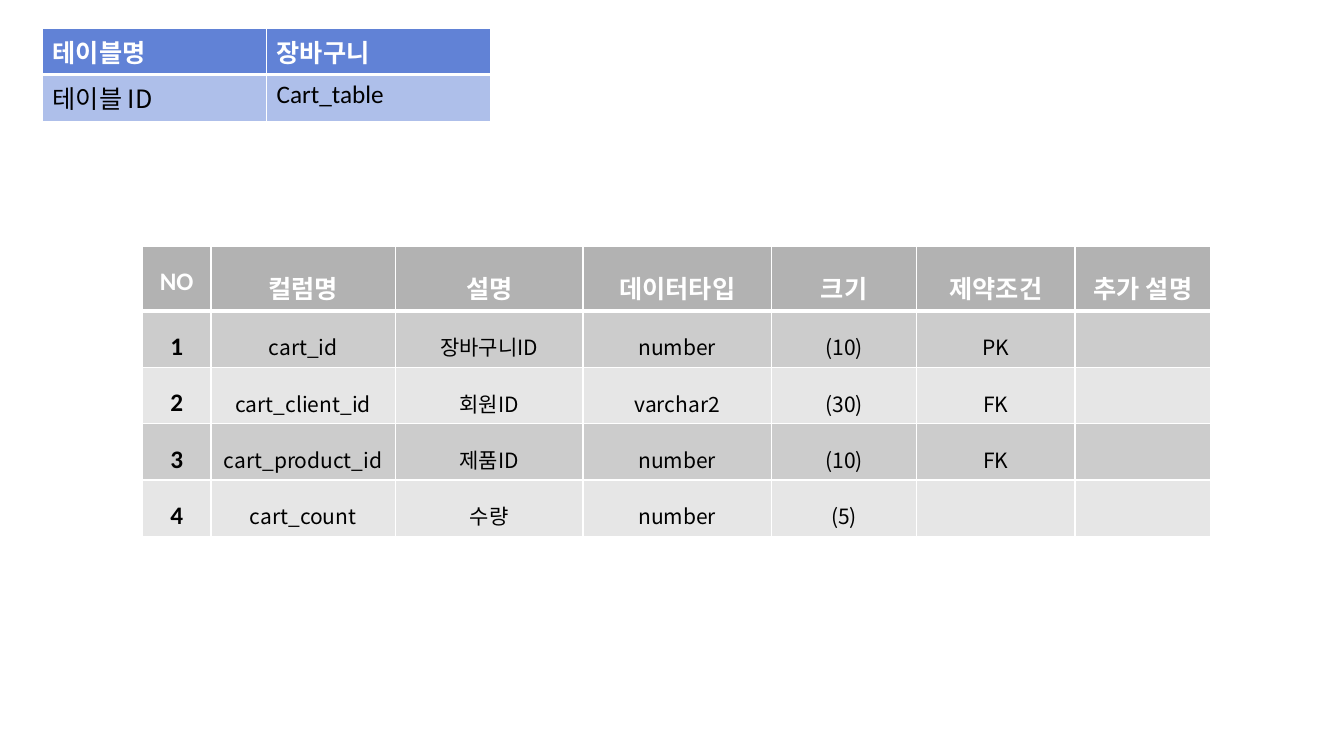
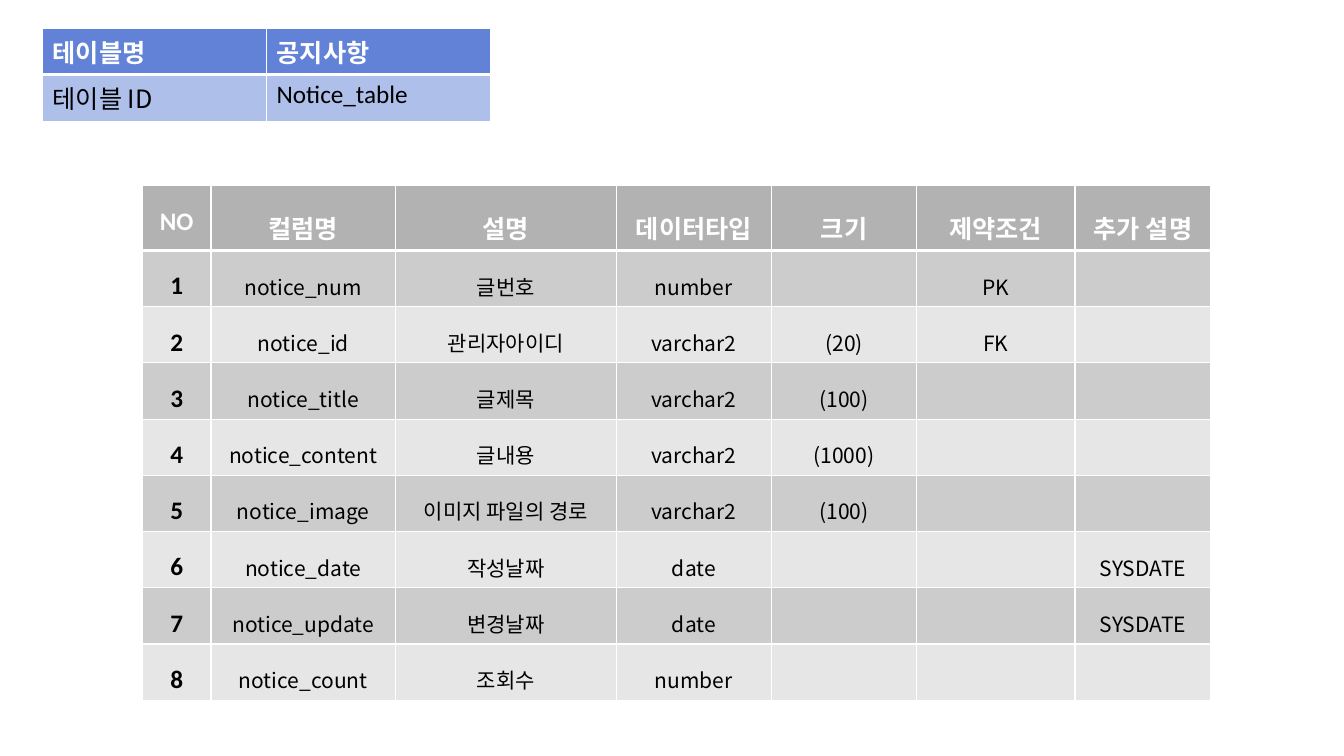
from lxml.etree import SubElement
from pptx import Presentation
from pptx.dml.color import RGBColor
from pptx.enum.text import PP_ALIGN
from pptx.oxml import parse_xml
from pptx.oxml.ns import nsdecls, qn
from pptx.util import Inches, Pt

LATIN, KOREAN = "Calibri", "Noto Sans CJK KR"
WHITE, BLACK = "FFFFFF", "000000"
BLUE_HEADER, BLUE_BODY = "6182D6", "AEBFEA"
GREY_HEADER, GREY_BANDS = "B2B2B2", ("CCCCCC", "E6E6E6")
THIN, THICK = Pt(1), Pt(3)

# Positions and sizes are percentages of the slide's width and height.
NAME_LEFT, NAME_TOP = 3.17, 3.7
NAME_WIDTHS, NAME_ROW = [16.67, 16.67], 6.13
COLUMNS_LEFT, HEADER_ROW, BODY_ROW = 10.6, 8.45, 7.43

HEADINGS = ["NO", "컬럼명", "설명", "데이터타입", "크기", "제약조건", "추가 설명"]
PAGES = [
    {
        "name": "장바구니",
        "id": "Cart_table",
        "top": 32.6,
        "widths": [5.1, 13.73, 13.95, 14.03, 10.8, 11.78, 10.13],
        "rows": [
            ("cart_id", "장바구니ID", "number", "(10)", "PK", ""),
            ("cart_client_id", "회원ID", "varchar2", "(30)", "FK", ""),
            ("cart_product_id", "제품ID", "number", "(10)", "FK", ""),
            ("cart_count", "수량", "number", "(5)", "", ""),
        ],
    },
    {
        "name": "공지사항",
        "id": "Notice_table",
        "top": 24.55,
        "widths": [5.1, 13.73, 16.43, 11.55, 10.8, 11.78, 10.13],
        "rows": [
            ("notice_num", "글번호", "number", "", "PK", ""),
            ("notice_id", "관리자아이디", "varchar2", "(20)", "FK", ""),
            ("notice_title", "글제목", "varchar2", "(100)", "", ""),
            ("notice_content", "글내용", "varchar2", "(1000)", "", ""),
            ("notice_image", "이미지 파일의 경로", "varchar2", "(100)", "", ""),
            ("notice_date", "작성날짜", "date", "", "", "SYSDATE"),
            ("notice_update", "변경날짜", "date", "", "", "SYSDATE"),
            ("notice_count", "조회수", "number", "", "", ""),
        ],
    },
]

presentation = Presentation()
presentation.slide_width, presentation.slide_height = Inches(13.33), Inches(7.5)
x_unit, y_unit = presentation.slide_width / 100, presentation.slide_height / 100


def add_grid(slide, left, top, widths, heights):
    """Add a table with white borders and a thick line below its first row."""
    frame = slide.shapes.add_table(
        len(heights), len(widths), int(left * x_unit), int(top * y_unit),
        int(sum(widths) * x_unit), int(sum(heights) * y_unit))
    table = frame.table
    for column, width in zip(table.columns, widths):
        column.width = int(width * x_unit)
    for row_number, (row, height) in enumerate(zip(table.rows, heights)):
        row.height = int(height * y_unit)
        thick_side = {0: "B", 1: "T"}.get(row_number)
        for cell in row.cells:
            properties = cell._tc.get_or_add_tcPr()
            for side in "LRTB":
                line_width = THICK if side == thick_side else THIN
                properties.append(parse_xml(
                    f'<a:ln{side} {nsdecls("a")} w="{line_width}"><a:solidFill>'
                    f'<a:srgbClr val="{WHITE}"/></a:solidFill></a:ln{side}>'))
    return table


def write_cell(cell, text, fill, color=BLACK, font=KOREAN, size=18, bold=False,
               align=PP_ALIGN.LEFT, spacing=1.0):
    cell.fill.solid()
    cell.fill.fore_color.rgb = RGBColor.from_string(fill)
    if not text:
        return
    paragraph = cell.text_frame.paragraphs[0]
    paragraph.alignment, paragraph.line_spacing = align, spacing
    run = paragraph.add_run()
    run.text = text
    run.font.name, run.font.size, run.font.bold = font, Pt(size), bold
    run.font.color.rgb = RGBColor.from_string(color)
    SubElement(run.font._element, qn("a:ea")).set("typeface", KOREAN)


centred = {"align": PP_ALIGN.CENTER, "spacing": 1.5}
strong = {"font": LATIN, "bold": True}

for page in PAGES:
    slide = presentation.slides.add_slide(presentation.slide_layouts[6])

    name_table = add_grid(slide, NAME_LEFT, NAME_TOP, NAME_WIDTHS, [NAME_ROW] * 2)
    write_cell(name_table.cell(0, 0), "테이블명", BLUE_HEADER, color=WHITE, bold=True)
    write_cell(name_table.cell(0, 1), page["name"], BLUE_HEADER, color=WHITE, **strong)
    write_cell(name_table.cell(1, 0), "테이블 ID", BLUE_BODY)
    write_cell(name_table.cell(1, 1), page["id"], BLUE_BODY, font=LATIN)

    heights = [HEADER_ROW] + [BODY_ROW] * len(page["rows"])
    column_table = add_grid(slide, COLUMNS_LEFT, page["top"], page["widths"], heights)
    for column_number, heading in enumerate(HEADINGS):
        write_cell(column_table.cell(0, column_number), heading, GREY_HEADER,
                   color=WHITE, **strong, **centred)
    for row_number, values in enumerate(page["rows"], start=1):
        band = GREY_BANDS[(row_number - 1) % 2]
        write_cell(column_table.cell(row_number, 0), str(row_number), band,
                   **strong, **centred)
        for column_number, value in enumerate(values, start=1):
            write_cell(column_table.cell(row_number, column_number), value, band,
                       size=15, **centred)

presentation.save("out.pptx")
